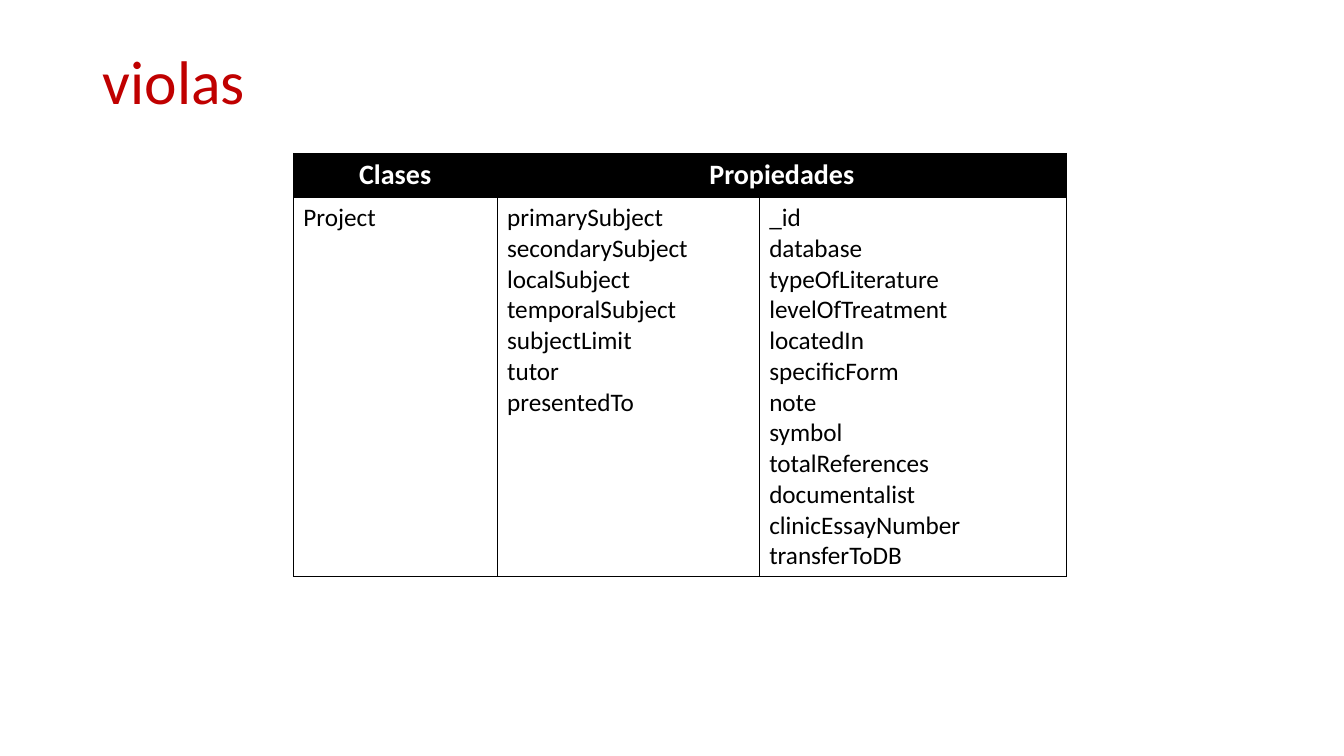
from lxml.etree import SubElement
from pptx import Presentation
from pptx.dml.color import RGBColor
from pptx.enum.text import MSO_ANCHOR as Anchor, PP_ALIGN as Align
from pptx.oxml.ns import qn
from pptx.util import Inches, Pt

FONT = "Calibri"
COLORS = {"title": "C00000", "black": "000000", "white": "FFFFFF"}
COLUMN_WIDTHS = [2.02, 2.6, 3.05]
ROW_HEIGHTS = [0.44, 3.76]
HEADERS = ["Clases", "Propiedades", ""]
BODY = [
    ["Project"],
    ["primarySubject", "secondarySubject", "localSubject", "temporalSubject",
     "subjectLimit", "tutor", "presentedTo"],
    ["_id", "database", "typeOfLiterature", "levelOfTreatment", "locatedIn",
     "specificForm", "note", "symbol", "totalReferences", "documentalist",
     "clinicEssayNumber", "transferToDB"],
]


def format_text(text_frame, size, color, bold=False, align=Align.LEFT):
    for paragraph in text_frame.paragraphs:
        paragraph.alignment = align
        for run in paragraph.runs:
            run.font.name = FONT
            run.font.size = Pt(size)
            run.font.bold = bold
            run.font.color.rgb = RGBColor.from_string(COLORS[color])


def add_borders(cell, width=0.5):
    properties = cell._tc.get_or_add_tcPr()
    for side in ("a:lnL", "a:lnR", "a:lnT", "a:lnB"):
        line = SubElement(properties, qn(side), w=str(Pt(width)))
        fill = SubElement(line, qn("a:solidFill"))
        SubElement(fill, qn("a:srgbClr"), val=COLORS["black"])


def fill_cell(cell, text, fill, **text_format):
    add_borders(cell)
    cell.fill.solid()
    cell.fill.fore_color.rgb = RGBColor.from_string(COLORS[fill])
    cell.text_frame.text = text
    format_text(cell.text_frame, **text_format)


def add_title(slide, left, top, width, height):
    box = slide.shapes.add_textbox(
        Inches(left), Inches(top), Inches(width), Inches(height))
    text_frame = box.text_frame
    text_frame.word_wrap = True
    text_frame.vertical_anchor = Anchor.MIDDLE
    text_frame.text = "violas"
    text_frame.paragraphs[0].line_spacing = 0.9
    format_text(text_frame, 44, "title")


def add_class_table(slide, left, top):
    frame = slide.shapes.add_table(
        len(ROW_HEIGHTS), len(COLUMN_WIDTHS), Inches(left), Inches(top),
        Inches(sum(COLUMN_WIDTHS)), Inches(sum(ROW_HEIGHTS)))
    table = frame.table
    for column, width in zip(table.columns, COLUMN_WIDTHS):
        column.width = Inches(width)
    for row, height in zip(table.rows, ROW_HEIGHTS):
        row.height = Inches(height)

    # Header row, with one heading over both property columns
    table.cell(0, 1).merge(table.cell(0, 2))
    for index, heading in enumerate(HEADERS):
        fill_cell(table.cell(0, index), heading, "black",
                  size=20, color="white", bold=True, align=Align.CENTER)

    # Class and its properties
    for index, names in enumerate(BODY):
        fill_cell(table.cell(1, index), "\n".join(names), "white",
                  size=18, color="black")


def main():
    presentation = Presentation()
    presentation.slide_width = Inches(13.33)
    presentation.slide_height = Inches(7.5)
    slide = presentation.slides.add_slide(presentation.slide_layouts[6])
    add_title(slide, 0.92, 0.4, 11.5, 0.87)
    add_class_table(slide, 2.91, 1.52)
    presentation.save("out.pptx")


if __name__ == "__main__":
    main()
